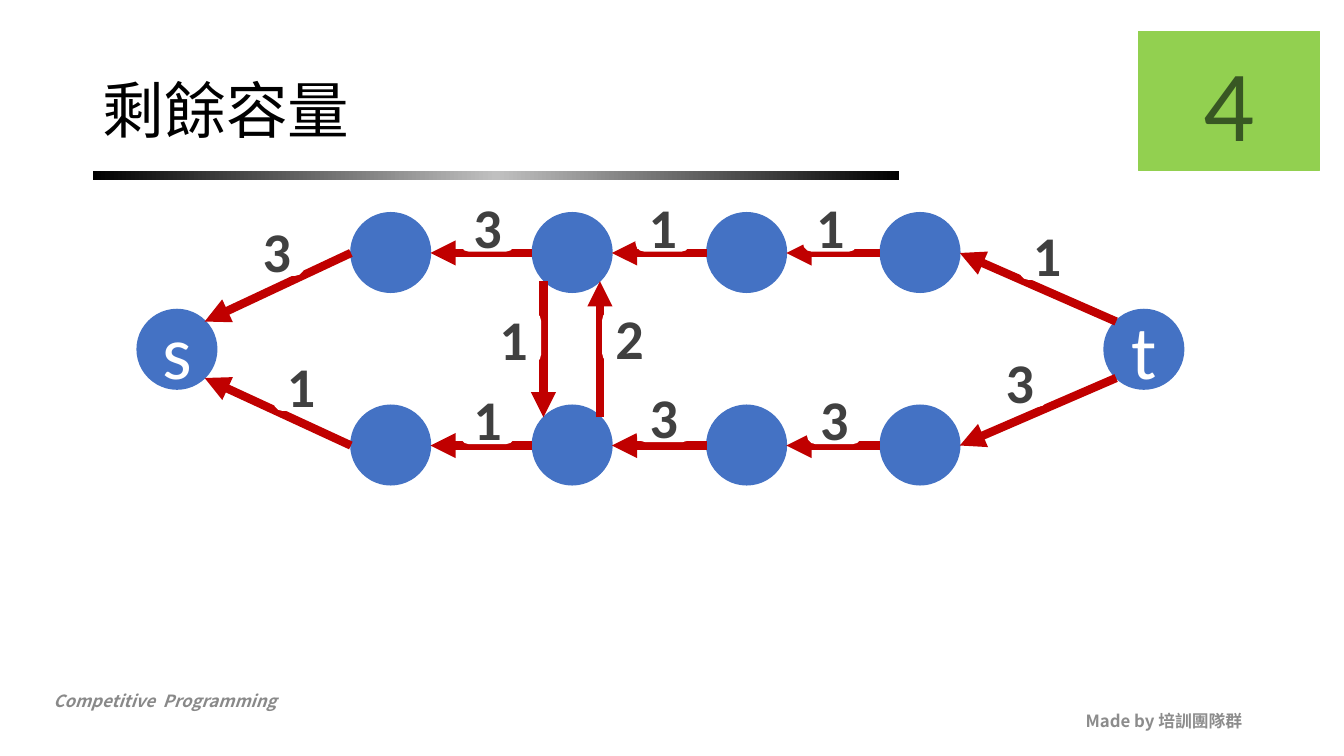
"""Build the residual capacity slide: a flow network with labelled arrows."""
from copy import deepcopy

from pptx import Presentation
from pptx.dml.color import RGBColor
from pptx.enum.shapes import MSO_CONNECTOR, MSO_SHAPE as Shape
from pptx.enum.text import MSO_ANCHOR as Anchor, PP_ALIGN as Align
from pptx.oxml.ns import qn
from pptx.util import Pt
from lxml.etree import SubElement

PX = 9144
BLACK = RGBColor(0x00, 0x00, 0x00)
WHITE = RGBColor(0xFF, 0xFF, 0xFF)
SILVER = RGBColor(0xC0, 0xC0, 0xC0)
BLUE = RGBColor(0x44, 0x72, 0xC4)
RED = RGBColor(0xC0, 0x00, 0x00)
GREEN = RGBColor(0x92, 0xD0, 0x50)
DARK_GREEN = RGBColor(0x38, 0x57, 0x23)
DARK_GRAY = RGBColor(0x40, 0x40, 0x40)
LEFT_FOOTER = RGBColor(0x89, 0x89, 0x89)
RIGHT_FOOTER = RGBColor(0x8C, 0x8C, 0x8C)
SANS = "Noto Sans CJK SC"
CALIBRI = "Calibri"

NODE = 79
HALF = 40
COLUMNS = (348, 528, 701, 873)
TOP_ROW, BOTTOM_ROW = 211, 402
TOP_Y, BOTTOM_Y = TOP_ROW + HALF, BOTTOM_ROW + HALF
SOURCE_X, SINK_X, END_ROW = 136, 1095, 307
LABELS = (
    ("1", 631, 199), ("1", 797, 199), ("1", 457, 390), ("1", 272, 357),
    ("1", 1012, 227), ("3", 457, 199), ("3", 632, 388), ("3", 801, 390),
    ("3", 248, 223), ("3", 985, 353), ("2", 598, 309), ("1", 483, 310),
)


class SlideBuilder:
    """Hold the slide and draw its elements in one style."""

    def __init__(self, deck):
        """Add a title-only slide to the deck."""
        self.slide = deck.slides.add_slide(deck.slide_layouts[5])
        self.shapes = self.slide.shapes

    def set_text(self, box, text, size, color, font=CALIBRI, align=Align.CENTER,
                 anchor=Anchor.MIDDLE, bold=False, italic=False):
        """Fill a shape with one formatted paragraph."""
        frame = box.text_frame
        frame.text = text
        frame.word_wrap = True
        frame.vertical_anchor = anchor
        para = frame.paragraphs[0]
        para.alignment = align
        span = para.runs[0]
        span.font.name = font
        span.font.size = Pt(size)
        span.font.bold = bold
        span.font.italic = italic
        span.font.color.rgb = color
        SubElement(span.font._element, qn("a:ea")).set("typeface", font)
        return para

    def title(self, text, left, top, width, height):
        """Move and format the title placeholder."""
        box = self.shapes.title
        box.left, box.top = left * PX, top * PX
        box.width, box.height = width * PX, height * PX
        para = self.set_text(box, text, 44, BLACK, SANS, Align.LEFT)
        para.line_spacing = 0.9

    def footer(self, text, place, color, **style):
        """Add a bold footer text box."""
        box = self.shapes.add_textbox(*(length * PX for length in place))
        self.set_text(box, text, 12, color, SANS, bold=True, **style)

    def shape(self, kind, color, *place):
        """Add a flat shape in one colour."""
        box = self.shapes.add_shape(kind, *(length * PX for length in place))
        box.shadow.inherit = False
        box.fill.solid()
        box.fill.fore_color.rgb = color
        box.line.color.rgb = color
        box.line.width = Pt(1)
        return box

    def rule(self, *place):
        """Add a bar that fades from black to silver and back."""
        bar = self.shape(Shape.RECTANGLE, BLACK, *place)
        bar.line.fill.background()
        bar.fill.gradient()
        bar.fill.gradient_angle = 0
        for stop in bar.fill.gradient_stops:
            stop.color.rgb = BLACK
        first = next(bar._element.iter(qn("a:gs")))
        first.addnext(deepcopy(first))
        middle = bar.fill.gradient_stops[1]
        middle.position = 0.5
        middle.color.rgb = SILVER

    def node(self, left, top, text=""):
        """Add a network node with an optional name."""
        circle = self.shape(Shape.OVAL, BLUE, left, top, NODE, NODE)
        if text:
            self.set_text(circle, text, 54, WHITE)

    def arrow(self, *ends):
        """Add an arrow from the first point to the second."""
        edge = self.shapes.add_connector(
            MSO_CONNECTOR.STRAIGHT, *(length * PX for length in ends))
        edge.line.color.rgb = RED
        edge.line.width = Pt(6)
        outline = edge._element.spPr.find(qn("a:ln"))
        SubElement(outline, qn("a:tailEnd")).set("type", "triangle")
        SubElement(edge._element.spPr, qn("a:effectLst"))

    def label(self, text, left, top):
        """Add a capacity label."""
        box = self.shape(Shape.ROUNDED_RECTANGLE, WHITE, left, top, 53, 50)
        self.set_text(box, text, 40, DARK_GRAY, bold=True)

    def badge(self, text, *place):
        """Add the green number badge."""
        box = self.shape(Shape.RECTANGLE, GREEN, *place)
        self.set_text(box, text, 72, DARK_GREEN)


def main():
    """Build and save the deck."""
    deck = Presentation()
    deck.slide_width, deck.slide_height = 1333 * PX, 750 * PX
    page = SlideBuilder(deck)
    page.footer("Competitive  Programming", (43, 680, 425, 30), LEFT_FOOTER,
                align=Align.LEFT, anchor=Anchor.TOP, italic=True)
    page.footer("Made by 培訓團隊群", (942, 695, 300, 40), RIGHT_FOOTER,
                align=Align.RIGHT)
    page.rule(92, 170, 800, 9)
    page.title("剩餘容量", 92, 40, 1150, 145)

    for left in COLUMNS:
        for top in (TOP_ROW, BOTTOM_ROW):
            page.node(left, top)
    page.node(SOURCE_X, END_ROW, "s")
    page.node(SINK_X, END_ROW, "t")

    first, last = COLUMNS[0], COLUMNS[-1] + NODE
    for y, end_y in ((TOP_Y, 319), (BOTTOM_Y, 375)):
        page.arrow(first, y, 203, end_y)
        for left, right in zip(COLUMNS, COLUMNS[1:]):
            page.arrow(right, y, left + NODE, y)
        page.arrow(1107, end_y, last, y)
    page.arrow(595, 414, 595, 279)
    page.arrow(539, 279, 539, 414)

    for text, left, top in LABELS:
        page.label(text, left, top)
    page.badge("4", 1129, 31, 180, 138)
    deck.save("out.pptx")


if __name__ == "__main__":
    main()
